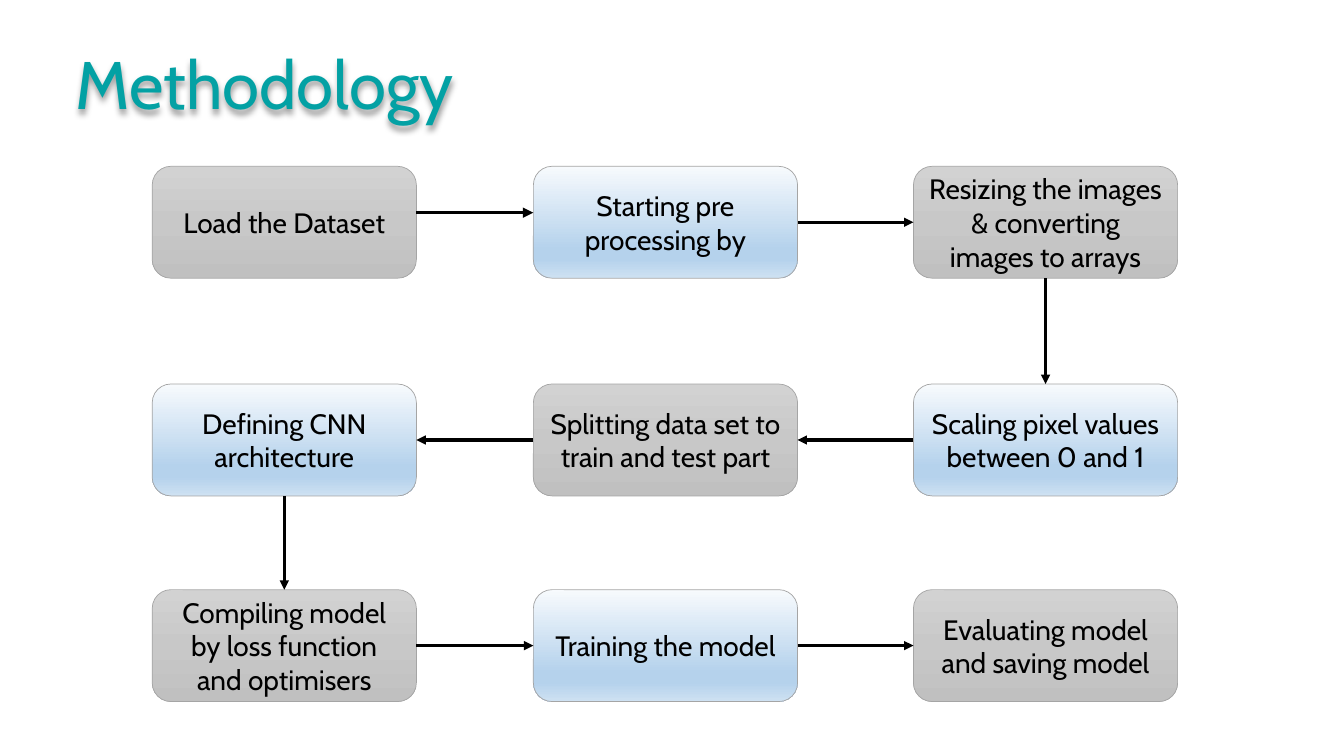
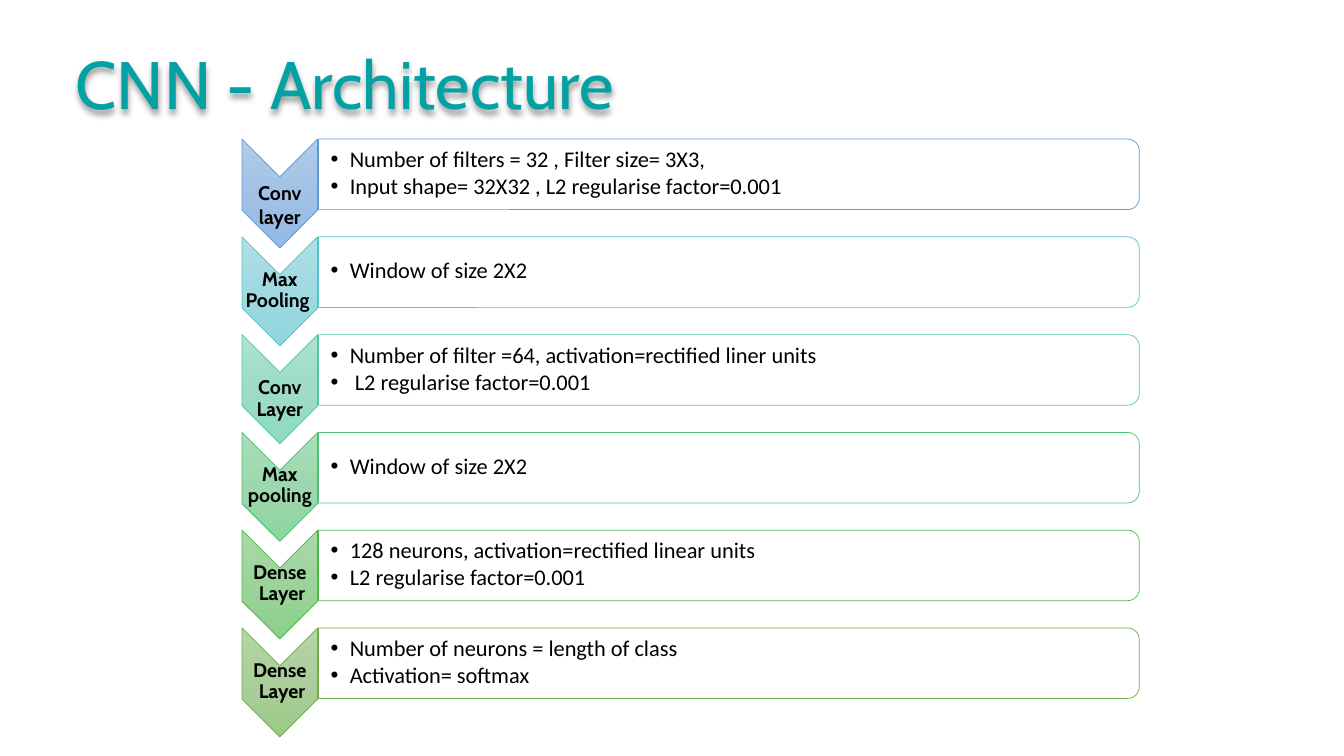
from itertools import pairwise

from lxml.etree import SubElement
from pptx import Presentation
from pptx.dml.color import RGBColor
from pptx.enum.shapes import MSO_CONNECTOR, MSO_SHAPE
from pptx.enum.text import MSO_ANCHOR, PP_ALIGN
from pptx.oxml.ns import qn
from pptx.util import Pt

EMU_PER_PX = 9144
HEADING_FONT = "Cabin"
BODY_FONT = "Calibri"
TEAL = "03A1A4"
BLACK = "000000"
WHITE = "FFFFFF"
CARD_EDGE = "A5A5A5"
GRAY_STOPS = ((0, "D2D2D2"), (50, "C8C8C8"), (100, "C0C0C0"))
BLUE_STOPS = ((0, "F7FAFD"), (74, "B5D2EC"), (83, "B5D2EC"), (100, "CEE1F2"))

CARD_LEFTS = (151, 529, 906)
CARD_TOPS = (165, 381, 585)
CARD_WIDTH, CARD_HEIGHT = 262, 111
TOP_SITE, LEFT_SITE, BOTTOM_SITE, RIGHT_SITE = range(4)

STEPS = (
    "Load the Dataset",
    "Starting pre processing by",
    "Resizing the images & converting images to arrays",
    "Scaling pixel values between 0 and 1",
    "Splitting data set to train and test part",
    "Defining CNN architecture",
    "Compiling model by loss function and optimisers",
    "Training the model",
    "Evaluating model and saving model",
)

LAYER_TOP, LAYER_PITCH = 138, 97
CHEVRON_LEFT, CHEVRON_WIDTH, CHEVRON_HEIGHT = 240, 75, 108
BAR_LEFT, BAR_WIDTH, BAR_HEIGHT = 316, 814, 70

LAYERS = (
    (("Conv", "layer"), 12, 1.0, "5B9BD5", ("B1CBE9", "A3C1E5", "93B9E4"),
     ("Number of filters = 32 , Filter size= 3X3,",
      "Input shape= 32X32 , L2 regularise factor=0.001")),
    (("Max", "Pooling "), 0, 0.9, "55C3CF", ("AEDFE6", "A1D9E0", "90D6DF"),
     ("Window of size 2X2",)),
    (("Conv", "Layer"), 11, 0.9, "50C8A7", ("ACE2D0", "9EDCC8", "8DDAC1"),
     ("Number of filter =64, activation=rectified liner units",
      " L2 regularise factor=0.001")),
    (("Max", "pooling"), 0, 0.9, "4BC174", ("AADEB8", "9DD7AD", "8BD59F"),
     ("Window of size 2X2",)),
    (("Dense", " Layer"), 0, 0.9, "4ABA46", ("A9D9A9", "9CD39B", "8ACF89"),
     ("128 neurons, activation=rectified linear units",
      "L2 regularise factor=0.001")),
    (("Dense", " Layer"), 0, 0.9, "70AD47", ("B5D5A7", "AACE9A", "9CC987"),
     ("Number of neurons = length of class", "Activation= softmax")),
)


def px(length):
    return round(length * EMU_PER_PX)


def rgb(hex_code):
    return RGBColor.from_string(hex_code)


def add_run(paragraph, text, size, font=HEADING_FONT, color=BLACK, bold=False):
    run = paragraph.add_run()
    run.text = text
    run.font.size = Pt(size)
    run.font.name = font
    run.font.bold = bold
    run.font.color.rgb = rgb(color)


def fill_gradient(shape, stops):
    shape.fill.gradient()
    shape.fill.gradient_angle = 270
    gradient = shape.element.spPr.find(qn("a:gradFill"))
    gradient.set("rotWithShape", "0")
    stop_list = gradient.find(qn("a:gsLst"))
    for old_stop in list(stop_list):
        stop_list.remove(old_stop)
    for position, color in stops:
        stop = SubElement(stop_list, qn("a:gs"), pos=str(position * 1000))
        SubElement(stop, qn("a:srgbClr"), val=color)


def add_outlined(slide, preset, left, top, width, height, edge):
    shape = slide.shapes.add_shape(preset, px(left), px(top), px(width), px(height))
    shape.shadow.inherit = False
    shape.line.color.rgb = rgb(edge)
    shape.line.width = Pt(0.5)
    return shape


def add_quarter_turned(slide, preset, left, top, width, height, edge):
    shift = (width - height) / 2
    shape = add_outlined(slide, preset, left + shift, top - shift, height, width, edge)
    shape.rotation = 90
    return shape


def add_text_area(slide, left, top, width, height, left_inset=1):
    area = slide.shapes.add_textbox(px(left), px(top), px(width), px(height))
    frame = area.text_frame
    frame.word_wrap = True
    frame.vertical_anchor = MSO_ANCHOR.MIDDLE
    frame.margin_left = px(left_inset)
    frame.margin_right = frame.margin_top = frame.margin_bottom = px(1)
    return frame


def add_title(slide, text):
    title = slide.shapes.add_textbox(px(65), px(37), px(1064), px(91))
    title.text_frame.word_wrap = True
    add_run(title.text_frame.paragraphs[0], text, 48, color=TEAL)
    title.shadow.inherit = False
    effects = title.element.spPr.find(qn("a:effectLst"))
    shadow = SubElement(effects, qn("a:outerShdw"), blurRad="50800",
                        dist="38100", dir="5400000", algn="t", rotWithShape="0")
    shade = SubElement(shadow, qn("a:srgbClr"), val=BLACK)
    SubElement(shade, qn("a:alpha"), val="40000")


def add_card(slide, left, top, text, stops):
    card = add_outlined(slide, MSO_SHAPE.ROUNDED_RECTANGLE, left, top,
                        CARD_WIDTH, CARD_HEIGHT, CARD_EDGE)
    fill_gradient(card, stops)
    card.text_frame.word_wrap = True
    card.text_frame.vertical_anchor = MSO_ANCHOR.MIDDLE
    paragraph = card.text_frame.paragraphs[0]
    paragraph.alignment = PP_ALIGN.CENTER
    add_run(paragraph, text, 20)
    return card


def add_arrow(slide, start=(0, 0), end=(0, 0), weight=2.25):
    arrow = slide.shapes.add_connector(
        MSO_CONNECTOR.STRAIGHT, *(px(value) for value in (*start, *end)))
    arrow.line.color.rgb = rgb(BLACK)
    arrow.line.width = Pt(weight)
    properties = arrow.element.spPr
    SubElement(properties.find(qn("a:ln")), qn("a:tailEnd"), type="triangle")
    SubElement(properties, qn("a:effectLst"))
    return arrow


def link_cards(slide, source, target):
    if source.top != target.top:
        sites = BOTTOM_SITE, TOP_SITE
    elif source.left < target.left:
        sites = RIGHT_SITE, LEFT_SITE
    else:
        sites = LEFT_SITE, RIGHT_SITE
    arrow = add_arrow(slide)
    arrow.begin_connect(source, sites[0])
    arrow.end_connect(target, sites[1])


def add_chevron(slide, top, words, drop, spacing, edge, shades):
    chevron = add_quarter_turned(slide, MSO_SHAPE.CHEVRON, CHEVRON_LEFT, top,
                                 CHEVRON_WIDTH, CHEVRON_HEIGHT, edge)
    fill_gradient(chevron, zip((0, 50, 100), shades))
    frame = add_text_area(slide, CHEVRON_LEFT, top + 37 + drop, CHEVRON_WIDTH, 32)
    label = frame.paragraphs[0]
    label.alignment = PP_ALIGN.CENTER
    label.line_spacing = spacing
    for index, word in enumerate(words):
        if index:
            label.add_line_break()
        add_run(label, word, 14, bold=True)


def add_bullet(paragraph, text):
    paragraph.line_spacing = 0.9
    paragraph.space_after = Pt(2)
    properties = paragraph._p.get_or_add_pPr()
    properties.set("marL", str(px(19)))
    properties.set("indent", str(px(-19)))
    SubElement(properties, qn("a:buFont"), typeface="Arial")
    SubElement(properties, qn("a:buChar"), char="•")
    add_run(paragraph, text, 16, BODY_FONT)


def add_detail_bar(slide, top, edge, details):
    bar = add_quarter_turned(slide, MSO_SHAPE.ROUND_2_SAME_RECTANGLE, BAR_LEFT, top,
                             BAR_WIDTH, BAR_HEIGHT, edge)
    bar.fill.solid()
    bar.fill.fore_color.rgb = rgb(WHITE)
    tint = bar.element.spPr.find(qn("a:solidFill")).find(qn("a:srgbClr"))
    SubElement(tint, qn("a:alpha"), val="90000")
    frame = add_text_area(slide, BAR_LEFT, top + 3, 810, 63, left_inset=12)
    for index, detail in enumerate(details):
        add_bullet(frame.add_paragraph() if index else frame.paragraphs[0], detail)


def build_methodology(slide):
    add_title(slide, "Methodology")
    cards = []
    for index, step in enumerate(STEPS):
        row, column = divmod(index, len(CARD_LEFTS))
        if row % 2:
            column = len(CARD_LEFTS) - 1 - column
        stops = BLUE_STOPS if index % 2 else GRAY_STOPS
        cards.append(add_card(slide, CARD_LEFTS[column], CARD_TOPS[row], step, stops))
    add_arrow(slide, (CARD_LEFTS[0] + CARD_WIDTH, 211), (CARD_LEFTS[1], 211), 2.5)
    for source, target in pairwise(cards[1:]):
        link_cards(slide, source, target)


def build_architecture(slide):
    add_title(slide, "CNN - Architecture")
    for index, (words, drop, spacing, edge, shades, details) in enumerate(LAYERS):
        top = LAYER_TOP + index * LAYER_PITCH
        add_chevron(slide, top, words, drop, spacing, edge, shades)
        add_detail_bar(slide, top, edge, details)


def main():
    deck = Presentation()
    deck.slide_width, deck.slide_height = px(1333), px(750)
    blank = deck.slide_layouts[6]
    for build in (build_methodology, build_architecture):
        build(deck.slides.add_slide(blank))
    deck.save("out.pptx")


if __name__ == "__main__":
    main()
